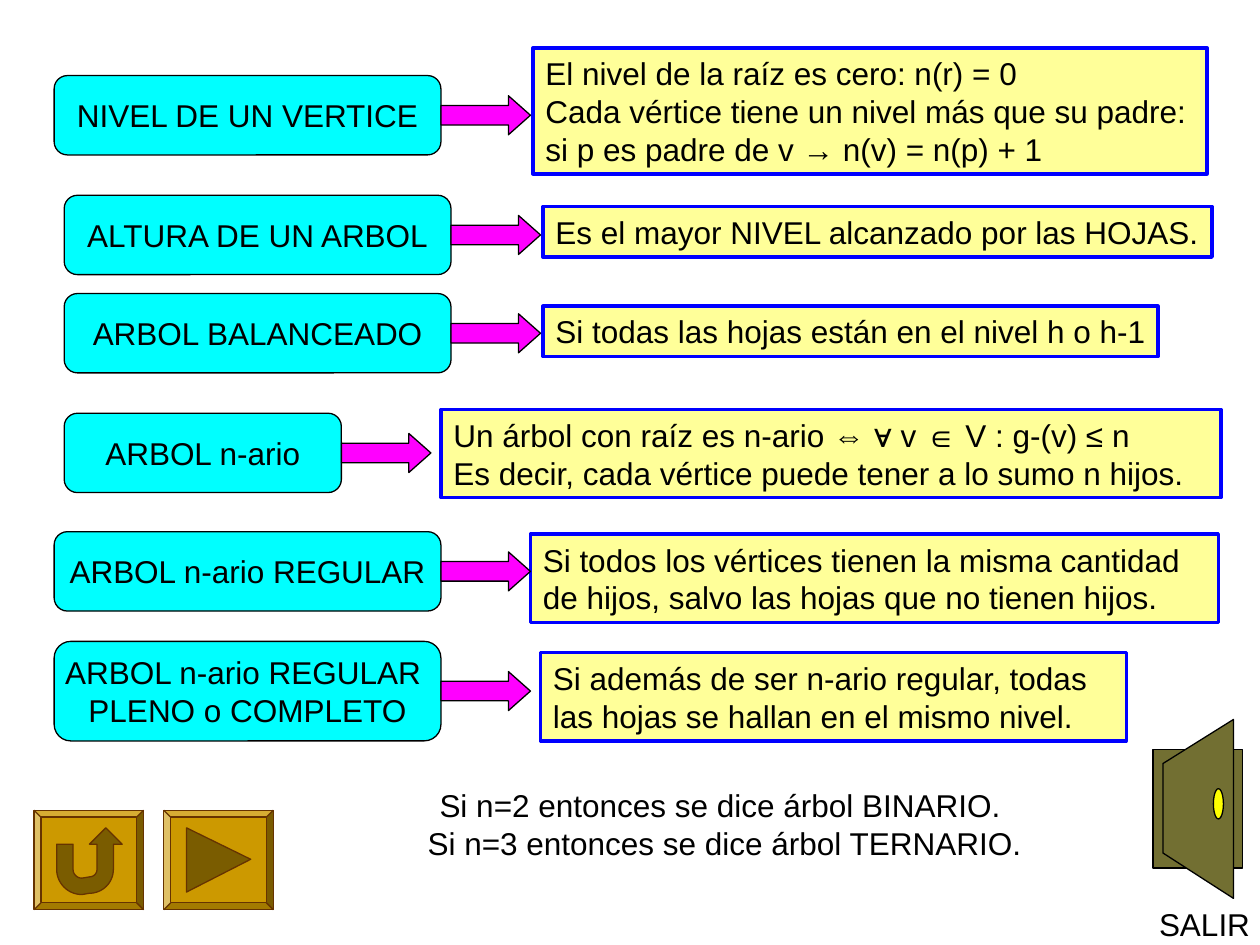
from math import cos, pi, sin

from pptx import Presentation
from pptx.dml.color import RGBColor
from pptx.enum.shapes import MSO_SHAPE
from pptx.enum.text import MSO_ANCHOR, PP_ALIGN
from pptx.util import Inches, Pt

BLACK = RGBColor(0x00, 0x00, 0x00)
CYAN = RGBColor(0x00, 0xFF, 0xFF)
MAGENTA = RGBColor(0xFF, 0x00, 0xFF)
CREAM = RGBColor(0xFF, 0xFF, 0x99)
BLUE = RGBColor(0x00, 0x00, 0xFF)
OLIVE = RGBColor(0x72, 0x6F, 0x32)
YELLOW = RGBColor(0xFF, 0xFF, 0x00)
GOLD = RGBColor(0xCC, 0x99, 0x00)
DARK_GOLD = RGBColor(0x7A, 0x5C, 0x00)
BROWN = RGBColor(0x66, 0x33, 0x00)

# Term lines, term box, definition lines, definition box, wrap definition
ROWS = [
    (["NIVEL DE UN VERTICE"], (0.43, 0.6, 3.07, 0.63),
     ["El nivel de la raíz es cero: n(r) = 0",
      "Cada vértice tiene un nivel más que su padre:",
      "si p es padre de v → n(v) = n(p) + 1"], (4.23, 0.38, 5.35, 1), False),
    (["ALTURA DE UN ARBOL"], (0.51, 1.55, 3.07, 0.63),
     ["Es el mayor NIVEL alcanzado por las HOJAS."], (4.31, 1.64, 5.31, 0.4), False),
    (["ARBOL BALANCEADO"], (0.51, 2.33, 3.07, 0.63),
     ["Si todas las hojas están en el nivel h o h-1"], (4.31, 2.43, 4.88, 0.4), False),
    (["ARBOL n-ario"], (0.51, 3.28, 2.2, 0.63),
     ["Un árbol con raíz es n-ario ⇔ ∀ v ∈ V : g-(v) ≤ n",
      "Es decir, cada vértice puede tener a lo sumo n hijos."], (3.5, 3.25, 6.19, 0.7), True),
    (["ARBOL n-ario REGULAR"], (0.43, 4.22, 3.07, 0.63),
     ["Si todos los vértices tienen la misma cantidad de hijos, "
      "salvo las hojas que no tienen hijos."], (4.21, 4.24, 5.46, 0.7), True),
    (["ARBOL n-ario REGULAR ", "PLENO o COMPLETO"], (0.43, 5.09, 3.07, 0.79),
     ["Si además de ser n-ario regular, todas las hojas se hallan "
      "en el mismo nivel."], (4.29, 5.18, 4.65, 0.7), True),
]
NOTE = ["Si n=2 entonces se dice árbol BINARIO. ", "Si n=3 entonces se dice árbol TERNARIO."]
ARROW_W, ARROW_H = 0.71, 0.31
BUTTON_W, BUTTON_H, BUTTON_Y = 0.87, 0.79, 6.43

prs = Presentation()
prs.slide_width, prs.slide_height = Inches(10), Inches(7.5)
s = prs.slides.add_slide(prs.slide_layouts[6])


def style(sp, fill, line=BLACK, width=0.75):
    sp.shadow.inherit = False
    sp.fill.solid()
    sp.fill.fore_color.rgb = fill
    sp.line.color.rgb = line
    sp.line.width = Pt(width)
    return sp


def shape(kind, box, fill, adj=(), **line):
    sp = s.shapes.add_shape(kind, *map(Inches, box))
    for i, value in enumerate(adj):
        sp.adjustments[i] = value
    return style(sp, fill, **line)


def outline(points, fill, **line):
    pts = [(Inches(x), Inches(y)) for x, y in points]
    builder = s.shapes.build_freeform(*pts[0])
    builder.add_line_segments(pts[1:], close=True)
    return style(builder.convert_to_shape(), fill, **line)


def write(sp, lines, align=PP_ALIGN.LEFT, anchor=MSO_ANCHOR.MIDDLE, wrap=False, bottom=0.05):
    tf = sp.text_frame
    tf.word_wrap = wrap
    tf.vertical_anchor = anchor
    tf.margin_bottom = Inches(bottom)
    for i, text in enumerate(lines):
        p = tf.add_paragraph() if i else tf.paragraphs[0]
        p.alignment = align
        r = p.add_run()
        r.text = text
        r.font.name = "Arial"
        r.font.size = Pt(18)
        r.font.color.rgb = BLACK


def arc(cx, cy, radius, start, end, steps=16):
    angles = [start + (end - start) * i / steps for i in range(steps + 1)]
    return [(cx + radius * cos(a), cy + radius * sin(a)) for a in angles]


# Terms, arrows and definitions
for term, term_box, definition, definition_box, wrap in ROWS:
    x, y, w, h = term_box
    write(shape(MSO_SHAPE.ROUNDED_RECTANGLE, term_box, CYAN, adj=[0.167]),
          term, align=PP_ALIGN.CENTER)
    write(shape(MSO_SHAPE.RECTANGLE, definition_box, CREAM, line=BLUE, width=2),
          definition, wrap=wrap)
    shape(MSO_SHAPE.RIGHT_ARROW, (x + w, y + (h - ARROW_H) / 2, ARROW_W, ARROW_H),
          MAGENTA, adj=[0.5, 0.564])

# Closing note
note = s.shapes.add_textbox(*map(Inches, (3.11, 6.19, 5.28, 0.65)))
write(note, NOTE, align=PP_ALIGN.CENTER, wrap=True, bottom=0)

# Return and next buttons
for left in (0.27, 1.3):
    shape(MSO_SHAPE.BEVEL, (left, BUTTON_Y, BUTTON_W, BUTTON_H), GOLD, adj=[0.07], line=BROWN)
u_turn = [(0.45, 6.7), (0.58, 6.7), *arc(0.65, 6.9, 0.07, pi, pi / 2),
          *arc(0.71, 6.9, 0.06, pi / 2, 0), (0.77, 6.7), (0.71, 6.7),
          (0.84, 6.57), (0.97, 6.7), (0.9, 6.7),
          *arc(0.71, 6.9, 0.19, 0, pi / 2), *arc(0.65, 6.9, 0.2, pi / 2, pi)]
outline(u_turn, DARK_GOLD, line=BROWN)
outline([(1.48, 6.57), (1.99, 6.82), (1.48, 7.08)], DARK_GOLD, line=BROWN)

# Exit door
shape(MSO_SHAPE.RECTANGLE, (9.15, 5.95, 0.71, 0.94), OLIVE)
outline([(9.79, 5.71), (9.79, 7.13), (9.23, 6.77), (9.23, 6.06)], OLIVE)
shape(MSO_SHAPE.OVAL, (9.63, 6.26, 0.08, 0.24), YELLOW)
exit_label = s.shapes.add_textbox(*map(Inches, (9.1, 7.13, 0.92, 0.4)))
write(exit_label, ["SALIR"], anchor=MSO_ANCHOR.TOP)

prs.save("out.pptx")
